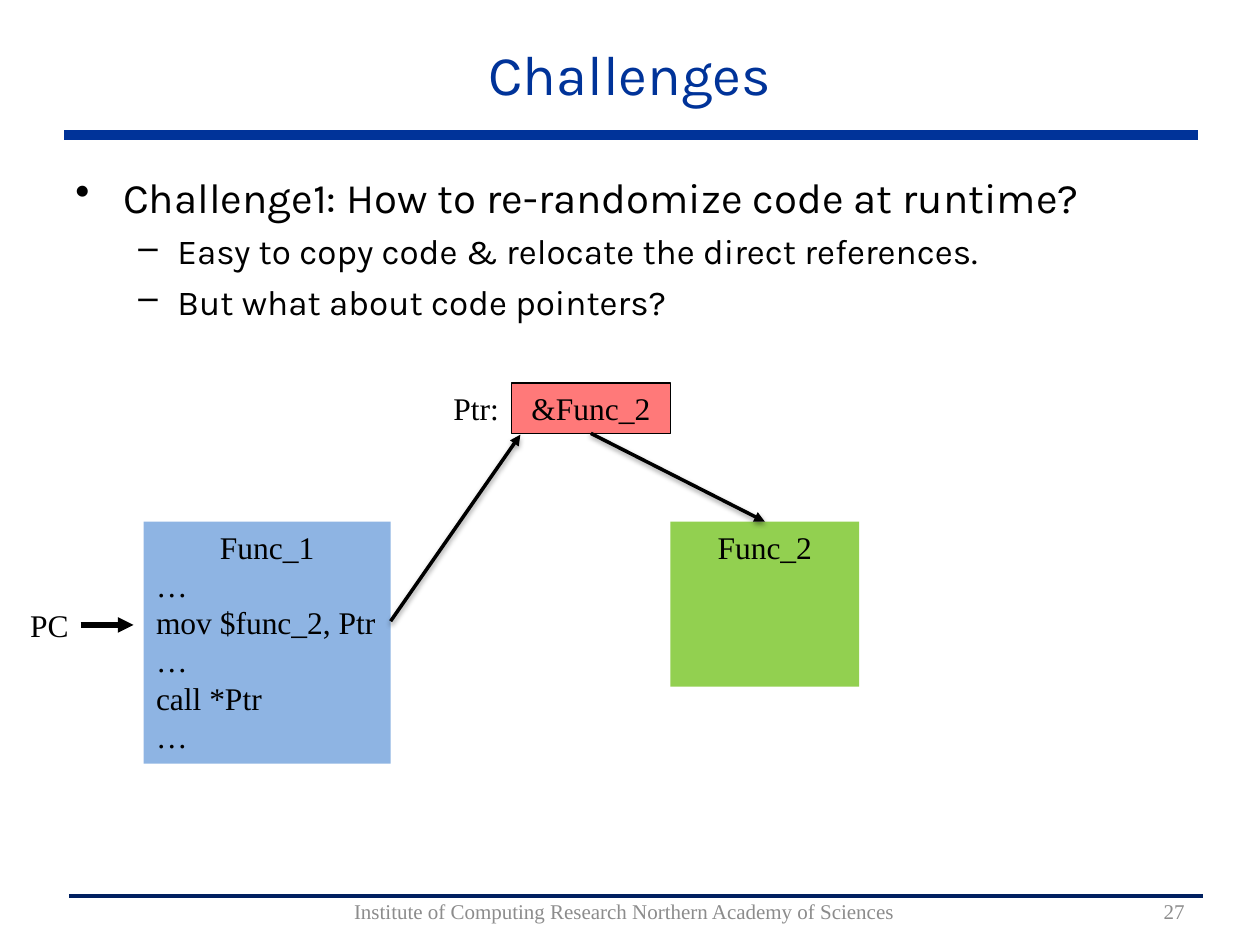
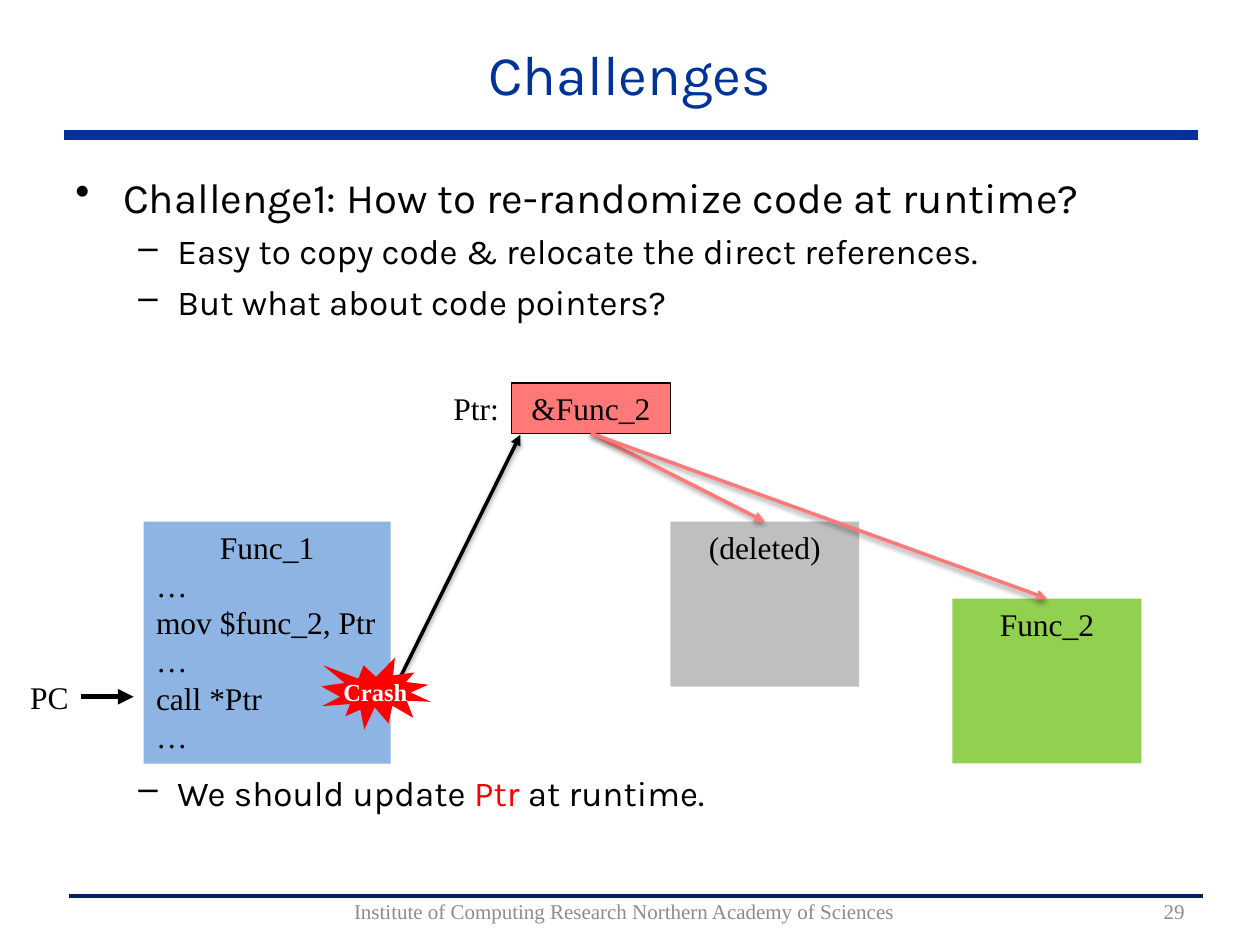
import dataclasses
import typing

import lxml.etree
import pptx
import pptx.dml.color
import pptx.enum.shapes
import pptx.enum.text
import pptx.oxml.ns
import pptx.util

Inches = pptx.util.Inches
Pt = pptx.util.Pt
RGBColor = pptx.dml.color.RGBColor
SHAPE = pptx.enum.shapes.MSO_SHAPE
ALIGN = pptx.enum.text.PP_ALIGN
ANCHOR = pptx.enum.text.MSO_ANCHOR
qn = pptx.oxml.ns.qn

BLACK = RGBColor(0x00, 0x00, 0x00)
WHITE = RGBColor(0xFF, 0xFF, 0xFF)
BLUE = RGBColor(0x00, 0x33, 0x99)
NAVY = RGBColor(0x00, 0x20, 0x60)
FOOTER_GRAY = RGBColor(0x8C, 0x8C, 0x8C)
CODE_BLUE = RGBColor(0x8E, 0xB4, 0xE3)
POINTER_PINK = RGBColor(0xFF, 0x79, 0x79)
LIVE_GREEN = RGBColor(0x92, 0xD0, 0x50)
DELETED_GRAY = RGBColor(0xBF, 0xBF, 0xBF)
RED = RGBColor(0xFF, 0x00, 0x00)

HEADING_FONT = "Karla"
DIAGRAM_FONT = "Times New Roman"
FOOTER = "Institute of Computing Research Northern Academy of Sciences"
CODE_LINES = ("…", "mov $func_2, Ptr", "…", "call *Ptr", "…")
BULLET_GAP = 0.24
CONCLUSION_GAP = 256.6


class Area(typing.NamedTuple):
    left: float
    top: float
    width: float
    height: float

    def lengths(self) -> list:
        return [Inches(value) for value in self]


class Point(typing.NamedTuple):
    x: float
    y: float


@dataclasses.dataclass(frozen=True)
class Target:
    label: str
    left: float
    top: float
    fill: RGBColor


@dataclasses.dataclass(frozen=True)
class Scene:
    number: int
    counter_y: float
    access_y: float
    targets: tuple[Target, ...]
    pointer_color: RGBColor = BLACK
    crashes: bool = False


POINTER_BOX = Area(4.06, 3.04, 1.26, 0.4)
SCENES = (
    Scene(27, 4.96, 4.93, (Target("Func_2", 5.32, 4.14, LIVE_GREEN),)),
    Scene(
        29,
        5.53,
        5.53,
        (
            Target("(deleted)", 5.32, 4.14, DELETED_GRAY),
            Target("Func_2", 7.56, 4.75, LIVE_GREEN),
        ),
        pointer_color=POINTER_PINK,
        crashes=True,
    ),
)


def write(para, text: str, *, size: float = 18, font: str = DIAGRAM_FONT,
          color: RGBColor = BLACK, bold: bool = False, align=ALIGN.LEFT) -> None:
    para.alignment = align
    span = para.add_run()
    span.text = text
    span.font.name = font
    span.font.size = Pt(size)
    span.font.color.rgb = color
    span.font.bold = bold


def add_text_box(page, area: Area, *, wrap: bool = True, anchor=ANCHOR.TOP):
    frame = page.shapes.add_textbox(*area.lengths()).text_frame
    frame.word_wrap = wrap
    frame.vertical_anchor = anchor
    return frame


def add_block(page, area: Area, fill: RGBColor, *, kind=SHAPE.RECTANGLE,
              outlined: bool = False, wrap: bool = True, anchor=ANCHOR.TOP):
    box = page.shapes.add_shape(kind, *area.lengths())
    box.shadow.inherit = False
    box.fill.solid()
    box.fill.fore_color.rgb = fill
    if outlined:
        box.line.color.rgb = BLACK
        box.line.width = Pt(0.75)
    else:
        box.line.fill.background()
    box.text_frame.word_wrap = wrap
    box.text_frame.vertical_anchor = anchor
    return box


def add_line(page, start: Point, end: Point, color: RGBColor, width: float,
             *, arrow: bool = False, shadow: bool = False):
    line = page.shapes.add_connector(
        pptx.enum.shapes.MSO_CONNECTOR.STRAIGHT,
        *(Inches(value) for value in (*start, *end)),
    )
    line.line.color.rgb = color
    line.line.width = Pt(width)
    properties = line.element.spPr
    if arrow:
        lxml.etree.SubElement(properties.find(qn("a:ln")), qn("a:tailEnd"), type="triangle")
    effects = lxml.etree.SubElement(properties, qn("a:effectLst"))
    if shadow:
        outer = lxml.etree.SubElement(
            effects, qn("a:outerShdw"), blurRad=str(Pt(3.1)), dist=str(Pt(1.6)),
            dir="5400000", rotWithShape="0",
        )
        shade = lxml.etree.SubElement(outer, qn("a:srgbClr"), val=str(BLACK))
        lxml.etree.SubElement(shade, qn("a:alpha"), val="38000")
    return line


def format_bullet(para, mark: str, margin: float, hanging: float, gap: float) -> None:
    para.space_before = Pt(gap)
    properties = para._p.get_or_add_pPr()
    properties.set("marL", str(Inches(margin)))
    properties.set("indent", str(-Inches(hanging)))
    lxml.etree.SubElement(properties, qn("a:buChar"), char=mark)


def add_sub_bullet(frame, parts: dict[str, RGBColor], gap: float = 20 * BULLET_GAP) -> None:
    para = frame.add_paragraph()
    para.level = 1
    format_bullet(para, "–", 0.81, 0.31, gap)
    for text, color in parts.items():
        write(para, text, size=20, font=HEADING_FONT, color=color)


def add_frame(page, number: int) -> None:
    add_line(page, Point(0.55, 7.11), Point(9.55, 7.11), NAVY, 2.25)
    add_line(page, Point(0.51, 1.07), Point(9.51, 1.07), BLUE, 6)
    title = add_text_box(page, Area(0.5, 0.16, 9, 0.84), anchor=ANCHOR.MIDDLE)
    write(title.paragraphs[0], "Challenges", size=32, font=HEADING_FONT,
          color=BLUE, align=ALIGN.CENTER)
    for text, left, width, align in (
        (FOOTER, 1.61, 6.69, ALIGN.CENTER),
        (str(number), 8.31, 1.19, ALIGN.RIGHT),
    ):
        footer = add_text_box(page, Area(left, 7.11, width, 0.24), anchor=ANCHOR.MIDDLE)
        write(footer.paragraphs[0], text, size=12, color=FOOTER_GRAY, align=align)


def add_bullets(page, concludes: bool) -> None:
    body = add_text_box(page, Area(0.5, 1.31, 9, 5.67))
    format_bullet(body.paragraphs[0], "•", 0.38, 0.38, 24 * BULLET_GAP)
    write(body.paragraphs[0], "Challenge1: How to re-randomize code at runtime?",
          size=24, font=HEADING_FONT)
    add_sub_bullet(body, {"Easy to copy code & relocate the direct references.": BLACK})
    add_sub_bullet(body, {"But what about code pointers?": BLACK})
    if concludes:
        add_sub_bullet(
            body,
            {"We should update ": BLACK, "Ptr ": RED, "at runtime.": BLACK},
            CONCLUSION_GAP,
        )


def add_caller(page) -> None:
    caller = add_block(page, Area(1.14, 4.14, 1.96, 1.92), CODE_BLUE, wrap=False).text_frame
    write(caller.paragraphs[0], "Func_1", align=ALIGN.CENTER)
    for code in CODE_LINES:
        write(caller.add_paragraph(), code)


def add_pointer(page):
    label = add_text_box(page, Area(3.5, 3.04, 0.57, 0.4), wrap=False)
    write(label.paragraphs[0], "Ptr:")
    pointer = add_block(page, POINTER_BOX, POINTER_PINK, outlined=True)
    write(pointer.text_frame.paragraphs[0], "&Func_2", align=ALIGN.CENTER)
    return pointer


def add_target(page, pointer, target: Target, color: RGBColor) -> None:
    area = Area(target.left, target.top, 1.5, 1.31)
    box = add_block(page, area, target.fill)
    write(box.text_frame.paragraphs[0], target.label, align=ALIGN.CENTER)
    start = Point(POINTER_BOX.left + POINTER_BOX.width / 2, POINTER_BOX.top + POINTER_BOX.height)
    end = Point(area.left + area.width / 2, area.top)
    arrow = add_line(page, start, end, color, 2, arrow=True, shadow=True)
    arrow.begin_connect(pointer, 2)
    arrow.end_connect(box, 0)


def add_program_counter(page, y: float) -> None:
    label = add_text_box(page, Area(0.14, y - 0.2, 0.53, 0.4))
    write(label.paragraphs[0], "PC")
    add_line(page, Point(0.64, y), Point(1.06, y), BLACK, 3, arrow=True)


def add_crash(page) -> None:
    burst = add_block(page, Area(2.55, 5.22, 0.87, 0.57), RED, kind=SHAPE.EXPLOSION1,
                      wrap=False, anchor=ANCHOR.MIDDLE)
    frame = burst.text_frame
    frame.margin_left = frame.margin_right = frame.margin_top = frame.margin_bottom = 0
    write(frame.paragraphs[0], "Crash", size=14, color=WHITE, bold=True, align=ALIGN.CENTER)


def add_scene(deck, scene: Scene) -> None:
    page = deck.slides.add_slide(deck.slide_layouts[6])
    add_frame(page, scene.number)
    add_bullets(page, scene.crashes)
    add_caller(page)
    pointer = add_pointer(page)
    for target in scene.targets:
        add_target(page, pointer, target, scene.pointer_color)
    add_program_counter(page, scene.counter_y)
    add_line(page, Point(3.1, scene.access_y), Point(4.13, 3.45), BLACK, 2,
             arrow=True, shadow=True)
    if scene.crashes:
        add_crash(page)


def main() -> None:
    deck = pptx.Presentation()
    deck.slide_width = Inches(10)
    deck.slide_height = Inches(7.5)
    for scene in SCENES:
        add_scene(deck, scene)
    deck.save("out.pptx")


if __name__ == "__main__":
    main()
